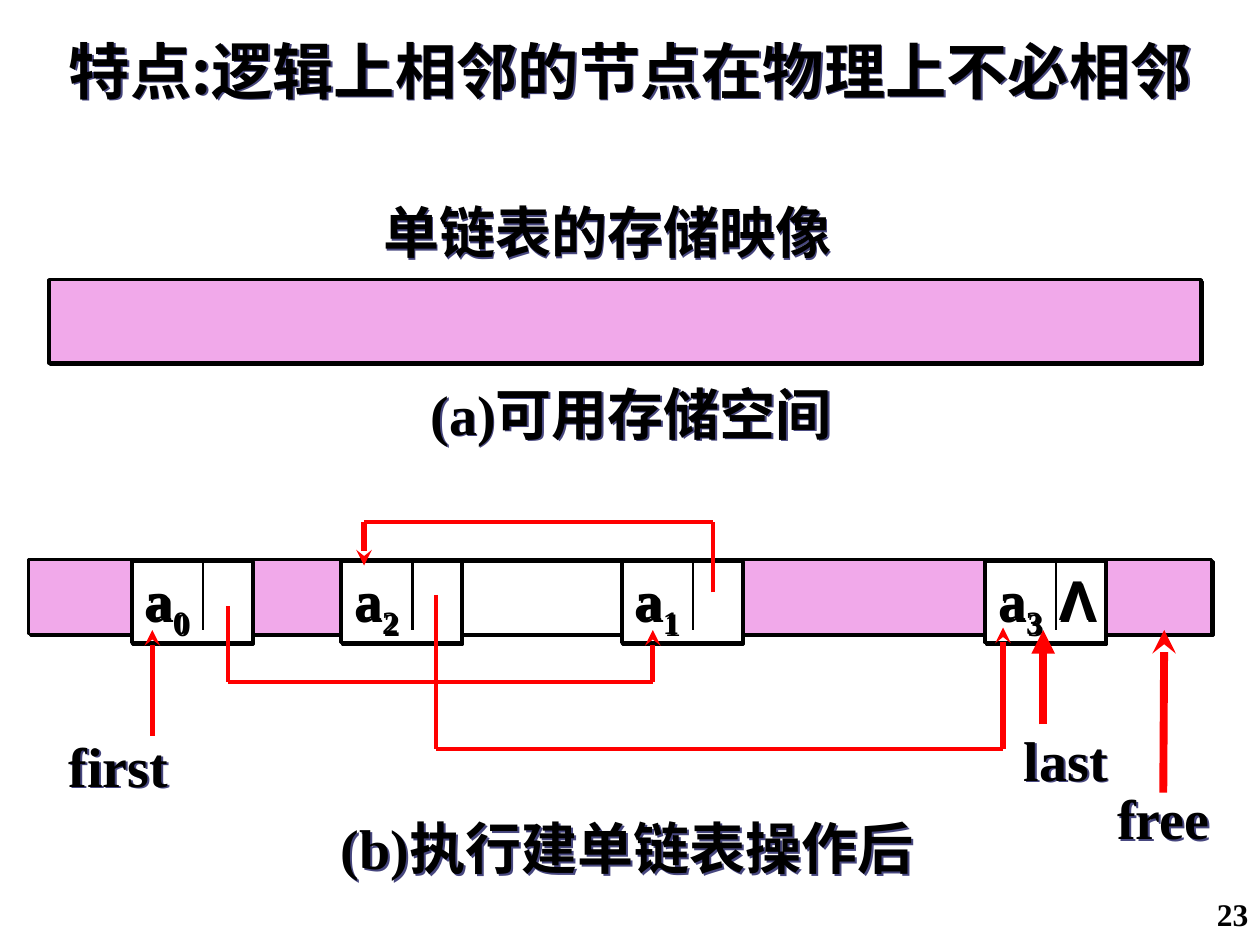
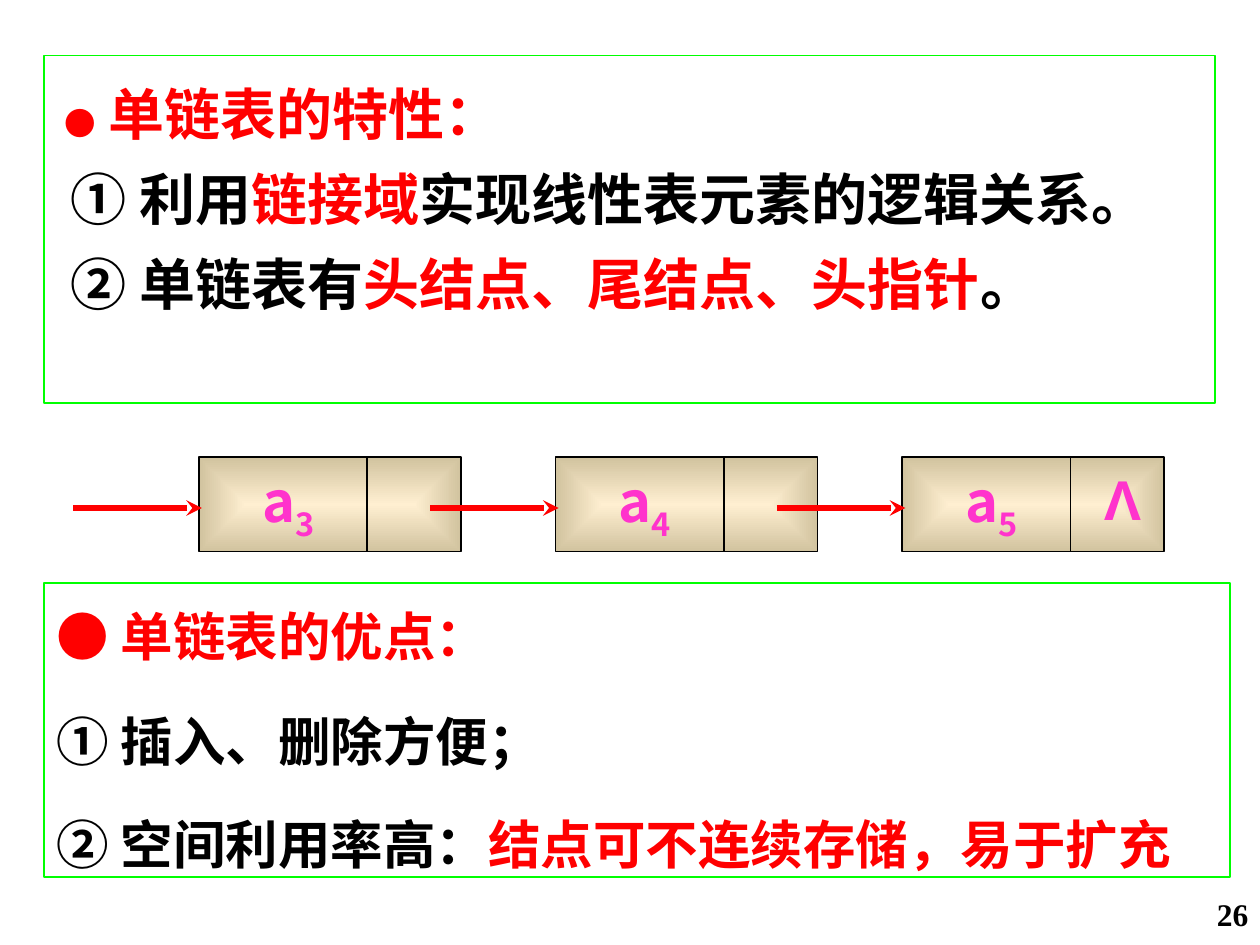
from dataclasses import dataclass

from lxml import etree
from pptx import Presentation
from pptx.dml.color import RGBColor
from pptx.enum.shapes import MSO_CONNECTOR, MSO_SHAPE
from pptx.enum.text import MSO_ANCHOR, PP_ALIGN
from pptx.oxml import parse_xml
from pptx.oxml.ns import qn
from pptx.util import Cm, Pt

RECT = MSO_SHAPE.RECTANGLE
LINE = MSO_CONNECTOR.STRAIGHT
LEFT, CENTER = PP_ALIGN.LEFT, PP_ALIGN.CENTER
TOP, MIDDLE = MSO_ANCHOR.TOP, MSO_ANCHOR.MIDDLE

HUES = {
    "ink": "000000", "red": "FF0000", "pink": "F1A9EA", "green": "00FF00",
    "magenta": "FF33CC", "cream": "FFEFD1", "tan": "D1C39F", "haze": "47477F",
}
SERIF, HAN, SANS = "Times New Roman", "Noto Sans CJK SC", "Arial"
NS = 'xmlns:a="http://schemas.openxmlformats.org/drawingml/2006/main"'


@dataclass
class Box:
    """Position and size in centimetres."""
    x: float
    y: float
    w: float
    h: float

    def span(self) -> tuple:
        return Cm(self.x), Cm(self.y), Cm(self.w), Cm(self.h)


@dataclass
class Run:
    text: str
    hue: str = "ink"
    size: float = 32
    font: str = SERIF
    sub: bool = False


@dataclass
class Para:
    runs: list
    before: float = 0
    indent: float = 0


@dataclass
class Route:
    """Pointer path; its last leg carries the arrowhead."""
    points: list
    width: float = 3
    head: str = "stealth"


@dataclass
class Node:
    x: float
    index: str
    last: bool = False


def color(name: str) -> RGBColor:
    return RGBColor.from_string(HUES[name])


def cast(shape, hue: str = "ink") -> None:
    """Add a small shadow down to the right."""
    shape._element.spPr.append(parse_xml(
        f'<a:effectLst {NS}><a:outerShdw dist="17780" dir="2700000" algn="ctr" '
        f'rotWithShape="0"><a:srgbClr val="{HUES[hue]}"/></a:outerShdw></a:effectLst>'))


def rect(slide, box: Box, fill: str = "", edge: str = "ink", width: float = 1.5):
    shape = slide.shapes.add_shape(RECT, *box.span())
    if fill:
        shape.fill.solid()
        shape.fill.fore_color.rgb = color(fill)
    else:
        shape.fill.background()
    shape.line.color.rgb = color(edge)
    shape.line.width = Pt(width)
    return shape


def rule(slide, start: tuple, end: tuple, hue: str = "ink",
         width: float = 1.5, head: str = "") -> None:
    link = slide.shapes.add_connector(LINE, *map(Cm, start + end))
    link.line.color.rgb = color(hue)
    link.line.width = Pt(width)
    if head:
        etree.SubElement(link.line._get_or_add_ln(), qn("a:tailEnd"), type=head)
    etree.SubElement(link._element.spPr, qn("a:effectLst"))


def trace(slide, route: Route) -> None:
    legs = list(zip(route.points, route.points[1:]))
    for start, end in legs[:-1]:
        rule(slide, start, end, "red", 2.25)
    rule(slide, *legs[-1], "red", route.width, route.head)


def write(para, run: Run) -> None:
    part = para.add_run()
    part.text = run.text
    part.font.name, part.font.size = run.font, Pt(run.size)
    part.font.bold = True
    part.font.color.rgb = color(run.hue)
    props = part._r.get_or_add_rPr()
    etree.SubElement(props, qn("a:ea"), typeface=HAN)
    if run.sub:
        props.set("baseline", "-25000")


def fill(shape, paras: list, align=CENTER, anchor=MIDDLE, inset: tuple = (0, 0),
         pitch=None, wrap: bool = True) -> None:
    """Set the text of a shape; inset is left and top."""
    frame = shape.text_frame
    frame.word_wrap, frame.vertical_anchor = wrap, anchor
    frame.margin_left, frame.margin_top = map(Cm, inset)
    frame.margin_right = frame.margin_bottom = 0
    for i, item in enumerate(paras):
        para = frame.add_paragraph() if i else frame.paragraphs[0]
        para.alignment = align
        para.space_before = Pt(item.before)
        if pitch:
            para.line_spacing = pitch
        if item.indent:
            para._p.get_or_add_pPr().set("marL", str(Cm(item.indent)))
        for run in item.runs:
            write(para, run)


def label(slide, box: Box, runs: list, shade: bool = False, **style) -> None:
    shape = slide.shapes.add_textbox(*box.span())
    fill(shape, [Para(runs)], **style)
    if shade:
        cast(shape, "haze")


def page(slide, number: str) -> None:
    label(slide, Box(23.16, 17.91, 3.38, 1.02), [Run(number, size=18)], wrap=False)


def cell(slide, node: Node, y: float) -> None:
    """Draw one list node inside the memory strip."""
    shape = rect(slide, Box(node.x, y, CELL, 1.68))
    cast(shape)
    runs = [Run("a"), Run(node.index, sub=True)]
    if node.last:
        runs.append(Run("\tΛ", font=SANS))
    fill(shape, [Para(runs)], LEFT, inset=(0.28, 0), pitch=0.95)
    if node.last:
        props = shape.text_frame.paragraphs[0]._p.get_or_add_pPr()
        tabs = etree.SubElement(props, qn("a:tabLst"))
        etree.SubElement(tabs, qn("a:tab"), pos=str(Cm(1.22)), algn="l")
    rule(slide, (node.x + 1.45, y), (node.x + 1.45, y + 1.42))


def block(slide, node: Node, y: float) -> None:
    """Draw one large node with a shaded fill."""
    shape = rect(slide, Box(node.x, y, 5.28, 1.9), "cream", width=1)
    shape.shadow.inherit = False
    props = shape._element.spPr
    props.replace(props.find(qn("a:solidFill")), parse_xml(
        f'<a:gradFill {NS} rotWithShape="1"><a:gsLst>'
        f'<a:gs pos="0"><a:srgbClr val="{HUES["cream"]}"/></a:gs>'
        f'<a:gs pos="100000"><a:srgbClr val="{HUES["tan"]}"/></a:gs></a:gsLst>'
        '<a:path path="rect"><a:fillToRect l="50000" t="50000" r="50000" b="50000"/>'
        '</a:path></a:gradFill>'))
    rule(slide, (node.x + 3.39, y), (node.x + 3.39, y + 1.9), width=1)
    label(slide, Box(node.x + 0.21, y + 0.2, 3.18, 1.5),
          [Run("a", "magenta", font=HAN),
           Run(node.index, "magenta", font=HAN, sub=True)], pitch=0.8)
    if node.last:
        label(slide, Box(node.x + 3.17, y, 2.54, 1.63),
              [Run("Λ", "magenta", font=SANS)])


def panel(slide, box: Box, paras: list, inset: tuple, pitch: float) -> None:
    shape = rect(slide, box, edge="green", width=1)
    shape.shadow.inherit = False
    fill(shape, paras, LEFT, TOP, inset, Pt(pitch))


CELL = 2.44
STRIP = (0.58, 24.43)
CELLS = [Node(2.64, "0"), Node(6.86, "2"), Node(12.52, "1"), Node(19.84, "3", True)]
GAPS = ["pink", "pink", "", "pink", "pink"]
LABELS = [
    (Box(3, 3.91, 18.49, 1.5), "单链表的存储映像"),
    (Box(8.31, 7.57, 8.84, 1.5), "(a)可用存储空间"),
    (Box(6.35, 16.33, 12.6, 1.5), "(b)执行建单链表操作后"),
    (Box(1.02, 14.6, 2.74, 1.63), "first"),
    (Box(20.32, 14.48, 2.34, 1.63), "last"),
    (Box(22.3, 15.72, 2.31, 1.5), "free"),
]
ROUTES = [
    Route([(4.6, 12.22), (4.6, 13.74), (13.16, 13.74), (13.16, 12.7)]),
    Route([(14.38, 11.94), (14.38, 10.52), (7.34, 10.52), (7.34, 11.4)]),
    Route([(8.79, 11.99), (8.79, 15.09), (20.22, 15.09), (20.22, 12.65)]),
    Route([(3.07, 14.83), (3.07, 12.7)]),
    Route([(21.03, 14.6), (21.03, 12.7)], 4.5, "triangle"),
    Route([(23.45, 15.98), (23.47, 12.7)], 4.5),
]
BLOCKS = [Node(4.01, "3"), Node(11.2, "4"), Node(18.19, "5", True)]
TRAITS = [
    Para([Run("●", "red", 18), Run(" 单链表的特性：", "red")], indent=0.16),
    Para([Run("① 利用"), Run("链接域", "red"),
          Run("实现线性表元素的逻辑关系。")], 2, 0.28),
    Para([Run("② 单链表有"), Run("头结点、尾结点、头指针", "red"), Run("。")], 2, 0.28),
]
MERITS = [
    Para([Run("● 单链表的优点：", "red", 30, HAN)]),
    Para([Run("① 插入、删除方便；", size=30, font=HAN)], 18.7),
    Para([Run("② 空间利用率高：", size=30, font=HAN),
          Run("结点可不连续存储，易于扩充", "red", 30, HAN)], 17.5),
]


def memory(deck) -> None:
    slide = deck.slides.add_slide(deck.slide_layouts[5])
    title = slide.shapes.title
    title.left, title.top, title.width, title.height = Box(0.51, 0.53, 24.41, 1.75).span()
    fill(title, [Para([Run("特点:逻辑上相邻的节点在物理上不必相邻", size=35, font=HAN)])])
    cast(title, "haze")

    cast(rect(slide, Box(0.99, 5.64, 23.22, 1.68), "pink", width=2))
    y = 11.28
    starts = [STRIP[0]] + [node.x + CELL for node in CELLS]
    ends = [node.x for node in CELLS] + [STRIP[1]]
    for start, end, hue in zip(starts, ends, GAPS):
        cast(rect(slide, Box(start, y, end - start, 1.5), hue))
    for node in CELLS:
        cell(slide, node, y)
    for route in ROUTES:
        trace(slide, route)
    for box, text in LABELS:
        label(slide, box, [Run(text)], shade=True)
    page(slide, "23")


def summary(deck) -> None:
    slide = deck.slides.add_slide(deck.slide_layouts[6])
    panel(slide, Box(0.89, 1.12, 23.6, 7.01), TRAITS, (0.25, 0.2), 46.6)
    for node in BLOCKS:
        block(slide, node, 9.22)
    for node in BLOCKS:
        trace(slide, Route([(node.x - 2.53, 10.24), (node.x + 0.06, 10.24)]))
    panel(slide, Box(0.89, 11.76, 23.9, 5.92), MERITS, (0.25, 0.23), 41.3)
    page(slide, "26")


def main() -> None:
    deck = Presentation()
    deck.slide_width, deck.slide_height = Cm(25.4), Cm(19.05)
    memory(deck)
    summary(deck)
    deck.save("out.pptx")


if __name__ == "__main__":
    main()
